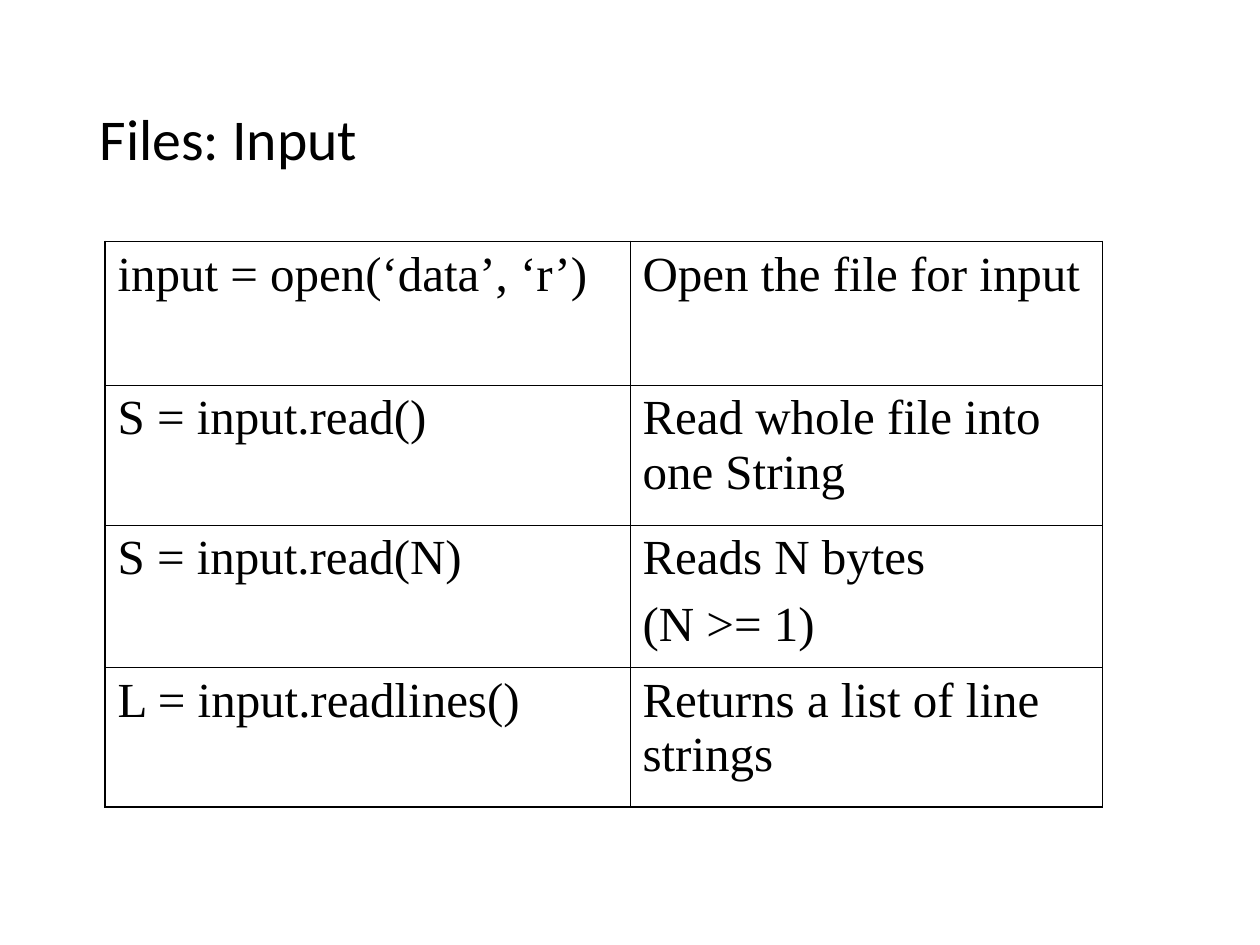
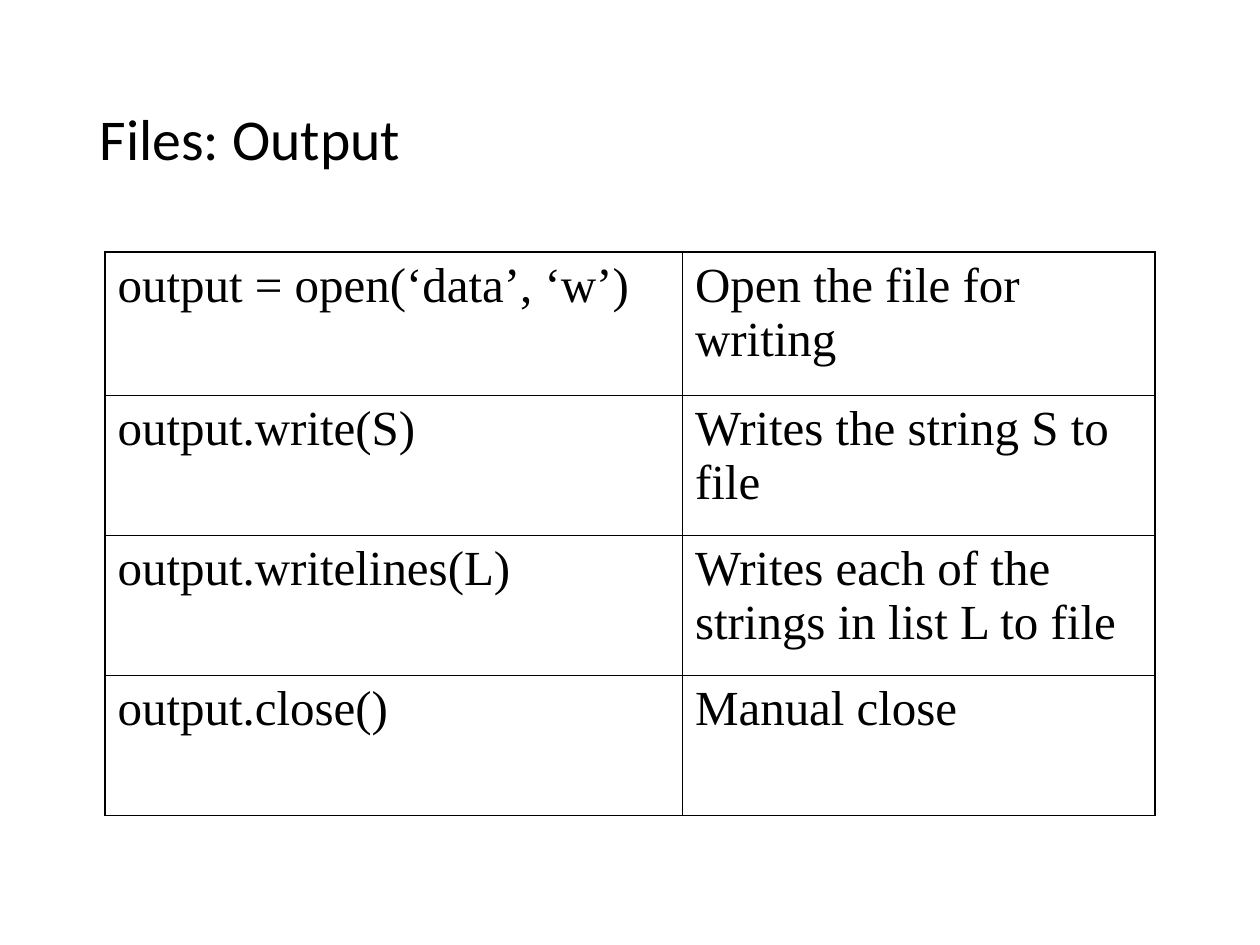
from dataclasses import dataclass

from pptx import Presentation
from pptx.dml.color import RGBColor
from pptx.enum.text import MSO_ANCHOR, PP_ALIGN
from pptx.oxml.ns import qn
from pptx.util import Pt
from lxml import etree

LEFT = PP_ALIGN.LEFT
MIDDLE = MSO_ANCHOR.MIDDLE
TITLE_ONLY = 5


@dataclass(frozen=True)
class Theme:
    ink: RGBColor = RGBColor(0, 0, 0)
    title_font: str = "Calibri"
    title_size: float = 33
    table_font: str = "Times New Roman"
    table_size: float = 28
    paragraph_gap: float = 7
    outer_line: float = 1.08
    inner_line: float = 0.45


@dataclass(frozen=True)
class Box:
    left: float
    top: float
    width: float
    height: float


THEME = Theme()
TITLE_BOX = Box(49.7, 28.8, 621.4, 104.4)

INPUT_ROWS = [
    ("input = open(‘data’, ‘r’)", "Open the file for input"),
    ("S = input.read()", "Read whole file into one String"),
    ("S = input.read(N)", "Reads N bytes\n(N >= 1)"),
    ("L = input.readlines()", "Returns a list of line strings"),
]
OUTPUT_ROWS = [
    ("output = open(‘data’, ‘w’)", "Open the file for writing"),
    ("output.write(S)", "Writes the string S to file"),
    ("output.writelines(L)", "Writes each of the strings in list L to file"),
    ("output.close()", "Manual close"),
]


def place(shape, box):
    shape.left, shape.top = Pt(box.left), Pt(box.top)
    shape.width, shape.height = Pt(box.width), Pt(box.height)


def style_font(paragraph, name, size):
    paragraph.font.name = name
    paragraph.font.size = Pt(size)
    paragraph.font.color.rgb = THEME.ink


def add_title(page, text, box):
    title = page.shapes.title
    place(title, box)
    frame = title.text_frame
    frame.text = text
    frame.vertical_anchor = MIDDLE
    paragraph = frame.paragraphs[0]
    paragraph.alignment = LEFT
    paragraph.line_spacing = 0.9
    style_font(paragraph, THEME.title_font, THEME.title_size)


def set_borders(cell, outer_sides):
    """Draw all four sides, heavier on those at the edge of the table."""
    properties = cell._tc.get_or_add_tcPr()
    for index, side in enumerate("LRTB"):
        weight = THEME.outer_line if side in outer_sides else THEME.inner_line
        line = etree.Element(qn(f"a:ln{side}"), w=str(Pt(weight)))
        fill = etree.SubElement(line, qn("a:solidFill"))
        etree.SubElement(fill, qn("a:srgbClr"), val=str(THEME.ink))
        properties.insert(index, line)


def fill_cell(cell, text):
    cell.fill.background()
    cell.text_frame.text = text
    for index, paragraph in enumerate(cell.text_frame.paragraphs):
        if index:
            paragraph.space_before = Pt(THEME.paragraph_gap)
        style_font(paragraph, THEME.table_font, THEME.table_size)


def add_call_table(page, rows, box, widths, heights):
    frame = page.shapes.add_table(len(rows), len(widths), Pt(box.left), Pt(box.top),
                                  Pt(box.width), Pt(box.height))
    table = frame.table
    table.first_row = table.horz_banding = False
    for column, width in zip(table.columns, widths):
        column.width = Pt(width)
    for row, height in zip(table.rows, heights):
        row.height = Pt(height)
    last_row, last_column = len(rows) - 1, len(widths) - 1
    for r, texts in enumerate(rows):
        for c, text in enumerate(texts):
            cell = table.cell(r, c)
            fill_cell(cell, text)
            edges = {"L": c == 0, "R": c == last_column, "T": r == 0, "B": r == last_row}
            set_borders(cell, [side for side, at_edge in edges.items() if at_edge])


def add_file_page(deck, title, rows, top, widths, heights):
    page = deck.slides.add_slide(deck.slide_layouts[TITLE_ONLY])
    add_title(page, title, TITLE_BOX)
    box = Box(60, top, sum(widths), sum(heights))
    add_call_table(page, rows, box, widths, heights)


def main():
    deck = Presentation()
    deck.slide_width, deck.slide_height = Pt(720), Pt(540)
    add_file_page(deck, "Files: Input", INPUT_ROWS, 138, (300, 270), (82, 80, 81.25, 80))
    add_file_page(deck, "Files: Output", OUTPUT_ROWS, 144, (330, 270), (82, 80, 80, 80))
    deck.save("out.pptx")


if __name__ == "__main__":
    main()
